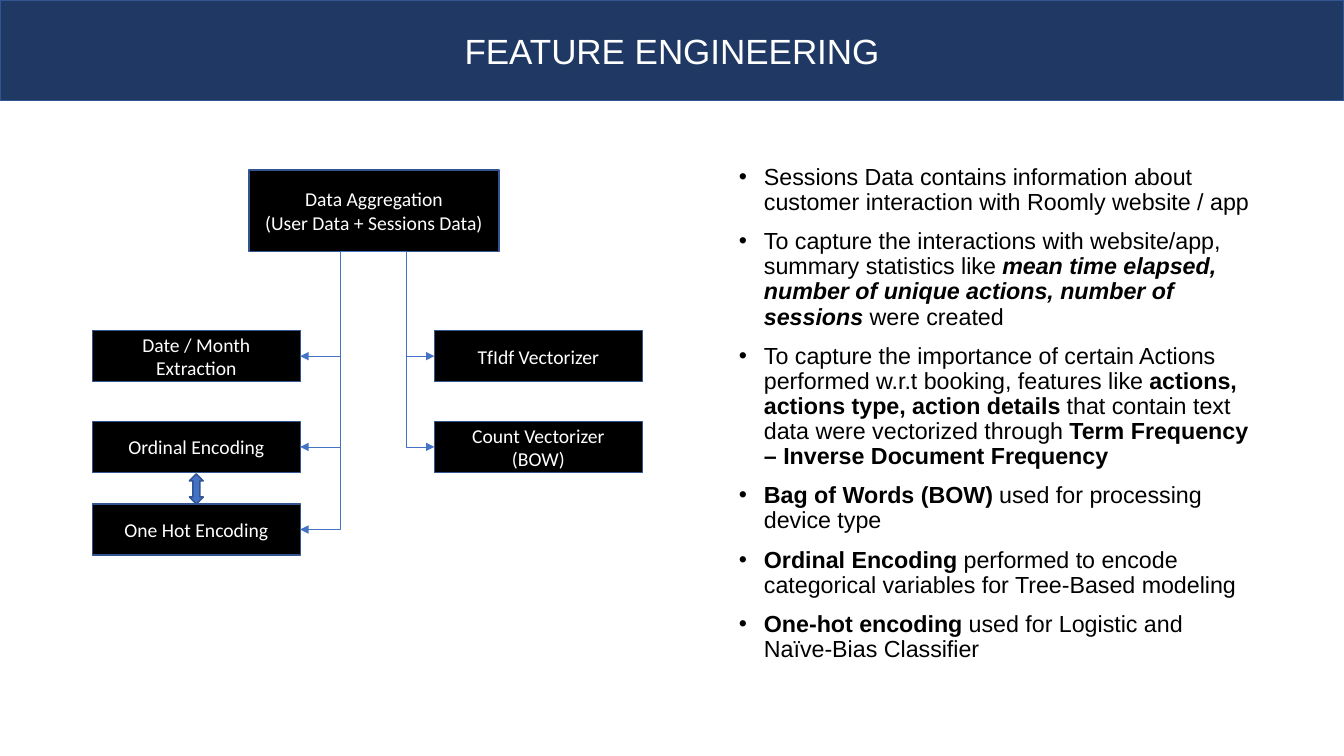
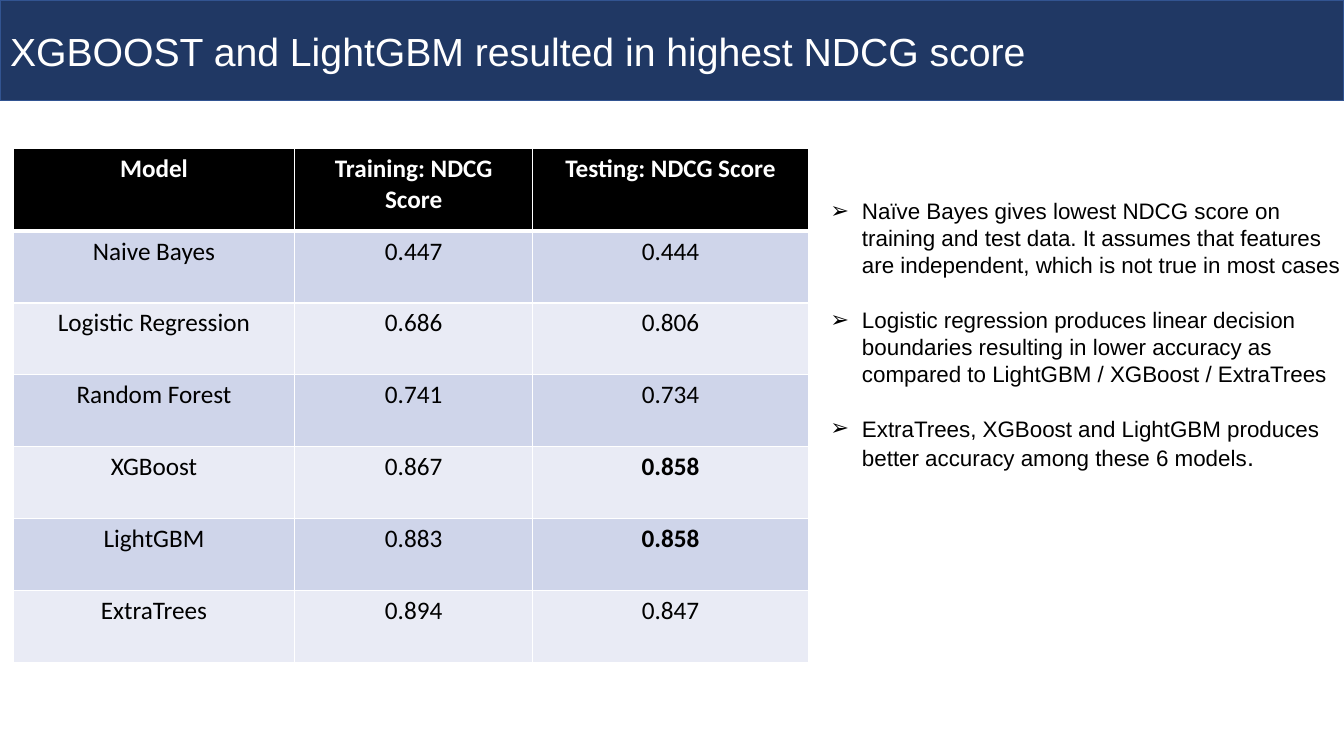
from lxml.etree import SubElement
from pptx import Presentation
from pptx.dml.color import RGBColor
from pptx.enum.shapes import MSO_CONNECTOR as Connector, MSO_SHAPE as Preset
from pptx.enum.text import MSO_ANCHOR as Anchor, MSO_AUTO_SIZE as AutoSize, PP_ALIGN as Align
from pptx.oxml.ns import qn
from pptx.util import Pt

COLORS = {
    "navy": "203864",
    "outline": "325491",
    "accent": "4472C4",
    "black": "000000",
    "white": "FFFFFF",
    "band_dark": "CFD5EA",
    "band_light": "E9EBF5",
}
PAGE_WIDTH, PAGE_HEIGHT, BAND_HEIGHT = 960, 540, 72
BOX_WIDTH, BOX_HEIGHT = 148.5, 36.5
LEFT_COLUMN, RIGHT_COLUMN = 66, 310.3
LEFT_TRUNK, RIGHT_TRUNK = 243.5, 290.2
ROOT_BOTTOM = 179.5
BOX_ROWS = [236.2, 301, 360]

FEATURE_NOTES = [
    [("Sessions Data contains information about customer interaction with Roomly website / app", "")],
    [("To capture the interactions with website/app, summary statistics like ", ""),
     ("mean time elapsed, number of unique actions, number of sessions ", "bi"),
     ("were created", "")],
    [("To capture the importance of certain Actions performed w.r.t booking, features like ", ""),
     ("actions, actions type, action details", "b"),
     (" that contain text data were vectorized through ", ""),
     ("Term Frequency – Inverse Document Frequency", "b")],
    [("Bag of Words (BOW)", "b"), (" used for processing device type", "")],
    [("Ordinal Encoding", "b"),
     (" performed to encode categorical variables for Tree-Based modeling", "")],
    [("One-hot encoding ", "b"), ("used for Logistic and Naïve-Bias Classifier", "")],
]
MODEL_NOTES = [
    [("Naïve Bayes gives lowest NDCG score on training and test data. It assumes that "
      "features are independent, which is not true in most cases", "")],
    [("Logistic regression produces linear decision boundaries resulting in lower accuracy "
      "as compared to LightGBM / XGBoost / ExtraTrees", "")],
    [("ExtraTrees, XGBoost and LightGBM produces better accuracy among these 6 models", ""),
     (".", "large")],
]
SCORES = [
    ("Model", "Training: NDCG Score", "Testing: NDCG Score"),
    ("Naive Bayes", "0.447", "0.444"),
    ("Logistic Regression", "0.686", "0.806"),
    ("Random Forest", "0.741", "0.734"),
    ("XGBoost", "0.867", "0.858"),
    ("LightGBM", "0.883", "0.858"),
    ("ExtraTrees", "0.894", "0.847"),
]
BEST_SCORE = "0.858"


def color(name):
    return RGBColor.from_string(COLORS[name])


def place(shape, left, top, width, height):
    shape.left, shape.top = Pt(left), Pt(top)
    shape.width, shape.height = Pt(width), Pt(height)


def paint(shape, fill):
    shape.fill.solid()
    shape.fill.fore_color.rgb = color(fill)
    shape.line.color.rgb = color("outline")
    shape.line.width = Pt(1)


def add_span(para, text, size=14, font="Calibri", ink="black", bold=False, italic=False):
    span = para.add_run()
    span.text = text
    span.font.size, span.font.name = Pt(size), font
    span.font.bold, span.font.italic = bold, italic
    span.font.color.rgb = color(ink)


def add_titled_slide(deck, title, size, align):
    """Add a slide whose title placeholder is the full-width navy band."""
    slide = deck.slides.add_slide(deck.slide_layouts[1])
    band = slide.shapes.title
    place(band, 0, 0, PAGE_WIDTH, BAND_HEIGHT)
    paint(band, "navy")
    frame = band.text_frame
    frame.auto_size, frame.vertical_anchor = AutoSize.NONE, Anchor.MIDDLE
    para = frame.paragraphs[0]
    para.alignment = align
    add_span(para, title, size=size, font="Arial", ink="white")
    return slide


def set_bullet(para, character, indent):
    props = para._p.get_or_add_pPr()
    props.set("marL", str(Pt(indent)))
    props.set("indent", str(-Pt(indent)))
    SubElement(props, qn("a:buFont")).set("typeface", "Arial")
    SubElement(props, qn("a:buChar")).set("char", character)


def fill_list(slide, items, area, bullet, indent, size, gap, line_spacing=1.0):
    """Fill the body placeholder; span styles are b, i or large."""
    body = slide.placeholders[1]
    place(body, *area)
    frame = body.text_frame
    frame.auto_size, frame.word_wrap = AutoSize.NONE, True
    frame.vertical_anchor = Anchor.TOP
    frame.margin_right = 0
    for index, spans in enumerate(items):
        para = frame.add_paragraph() if index else frame.paragraphs[0]
        para.line_spacing = line_spacing
        para.space_before = Pt(gap if index else 0)
        set_bullet(para, bullet, indent)
        for text, style in spans:
            large = style == "large"
            add_span(para, text, size=18 if large else size, font="Arial",
                     bold="b" in style, italic="i" in style)


def add_preset(slide, preset, area, fill):
    shape = slide.shapes.add_shape(preset, *map(Pt, area))
    shape.shadow.inherit = False
    paint(shape, fill)
    return shape


def add_box(slide, lines, left, top, width=BOX_WIDTH, height=BOX_HEIGHT):
    frame = add_preset(slide, Preset.RECTANGLE, (left, top, width, height), "black").text_frame
    frame.word_wrap, frame.vertical_anchor = True, Anchor.MIDDLE
    for index, text in enumerate(lines):
        para = frame.add_paragraph() if index else frame.paragraphs[0]
        para.alignment = Align.CENTER
        add_span(para, text, ink="white")


def add_branch(slide, trunk, end_x, end_y):
    """Draw an elbow arrow whose vertical part runs along the trunk."""
    start_x = 2 * trunk - end_x
    arrow = slide.shapes.add_connector(
        Connector.ELBOW, Pt(start_x), Pt(ROOT_BOTTOM), Pt(end_x), Pt(end_y))
    arrow.line.color.rgb = color("accent")
    arrow.line.width = Pt(0.5)
    props = arrow.element.spPr
    SubElement(props.find(qn("a:ln")), qn("a:tailEnd")).set("type", "triangle")
    SubElement(props, qn("a:effectLst"))


def set_borders(cell, **widths):
    props = cell._tc.get_or_add_tcPr()
    for side in "LRTB":
        line = SubElement(props, qn(f"a:ln{side}"), w=str(Pt(widths.get(side, 1))))
        fill = SubElement(line, qn("a:solidFill"))
        SubElement(fill, qn("a:srgbClr")).set("val", COLORS["white"])


def add_score_table(slide, left, top, column_widths, header_height, row_height):
    heights = [header_height] + [row_height] * (len(SCORES) - 1)
    table = slide.shapes.add_table(
        len(SCORES), len(column_widths), Pt(left), Pt(top),
        Pt(sum(column_widths)), Pt(sum(heights))).table
    for column, width in zip(table.columns, column_widths):
        column.width = Pt(width)
    for index, (row, height, values) in enumerate(zip(table.rows, heights, SCORES)):
        row.height = Pt(height)
        header = index == 0
        band = "black" if header else "band_dark" if index % 2 else "band_light"
        for cell, text in zip(row.cells, values):
            set_borders(cell, B=3 if header else 1, T=3 if index == 1 else 1)
            cell.fill.solid()
            cell.fill.fore_color.rgb = color(band)
            para = cell.text_frame.paragraphs[0]
            para.alignment = Align.CENTER
            add_span(para, text, size=18, ink="white" if header else "black",
                     bold=header or text == BEST_SCORE)


def build_feature_slide(deck):
    slide = add_titled_slide(deck, "FEATURE ENGINEERING", 25, Align.CENTER)
    fill_list(slide, FEATURE_NOTES, (520.5, 114.5, 377.5, 381.5),
              bullet="•", indent=18, size=16.6, gap=10, line_spacing=0.9)
    add_box(slide, ["Data Aggregation", "(User Data + Sessions Data)"],
            177.8, 121.5, 178.6, ROOT_BOTTOM - 121.5)
    branches = [
        (LEFT_COLUMN, LEFT_TRUNK, LEFT_COLUMN + BOX_WIDTH,
         ["Date / Month Extraction", "Ordinal Encoding", "One Hot Encoding"]),
        (RIGHT_COLUMN, RIGHT_TRUNK, RIGHT_COLUMN,
         ["TfIdf Vectorizer", "Count Vectorizer (BOW)"]),
    ]
    for left, trunk, edge, labels in branches:
        for label, top in zip(labels, BOX_ROWS):
            add_box(slide, [label], left, top)
            add_branch(slide, trunk, edge, top + BOX_HEIGHT / 2)
    arrow_width, arrow_height = 10, 21.5
    add_preset(slide, Preset.UP_DOWN_ARROW,
               (LEFT_COLUMN + (BOX_WIDTH - arrow_width) / 2, BOX_ROWS[2] - arrow_height,
                arrow_width, arrow_height), "accent")


def build_score_slide(deck):
    slide = add_titled_slide(
        deck, "XGBOOST and LightGBM resulted in highest NDCG score", 28, Align.LEFT)
    add_score_table(slide, 9.5, 106, [201, 170, 197], 59, 51.4)
    fill_list(slide, MODEL_NOTES, (586, 137.5, 374, 206),
              bullet="➢", indent=22.5, size=16, gap=20)


def main():
    deck = Presentation()
    deck.slide_width, deck.slide_height = Pt(PAGE_WIDTH), Pt(PAGE_HEIGHT)
    build_feature_slide(deck)
    build_score_slide(deck)
    deck.save("out.pptx")


if __name__ == "__main__":
    main()
